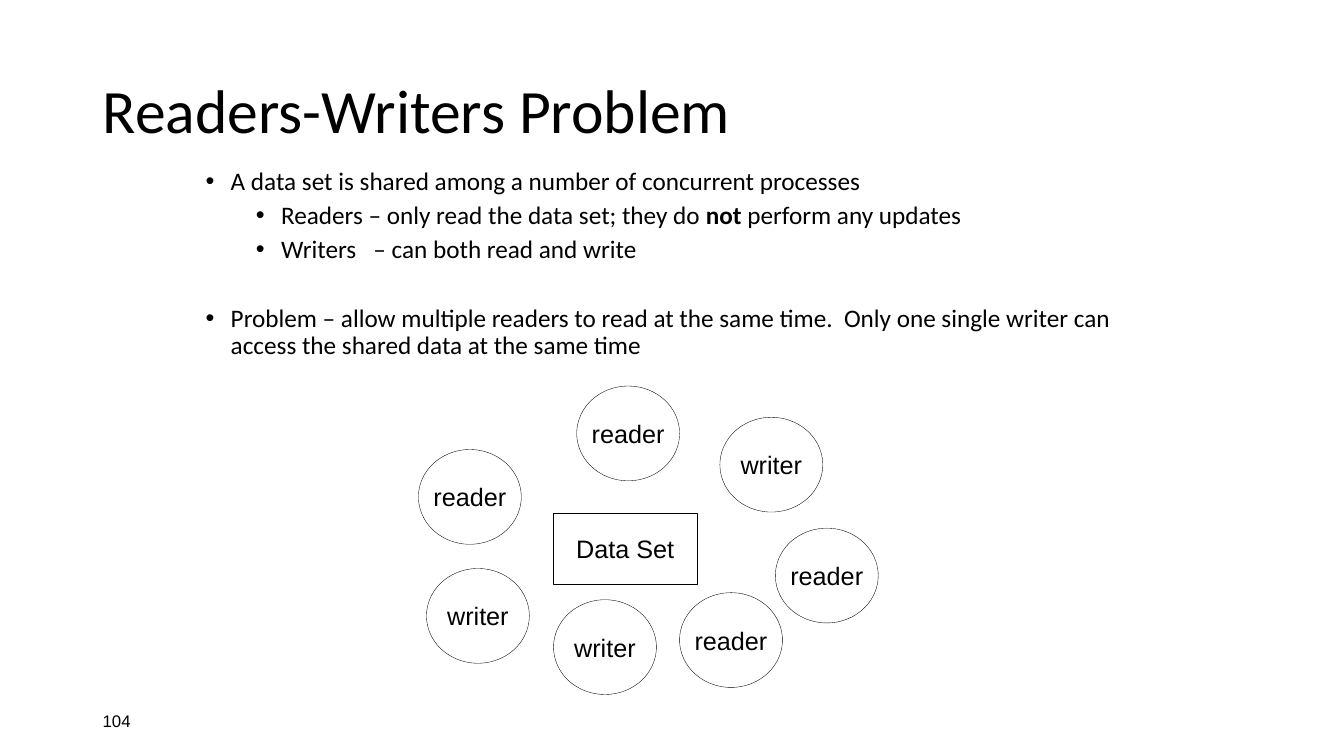
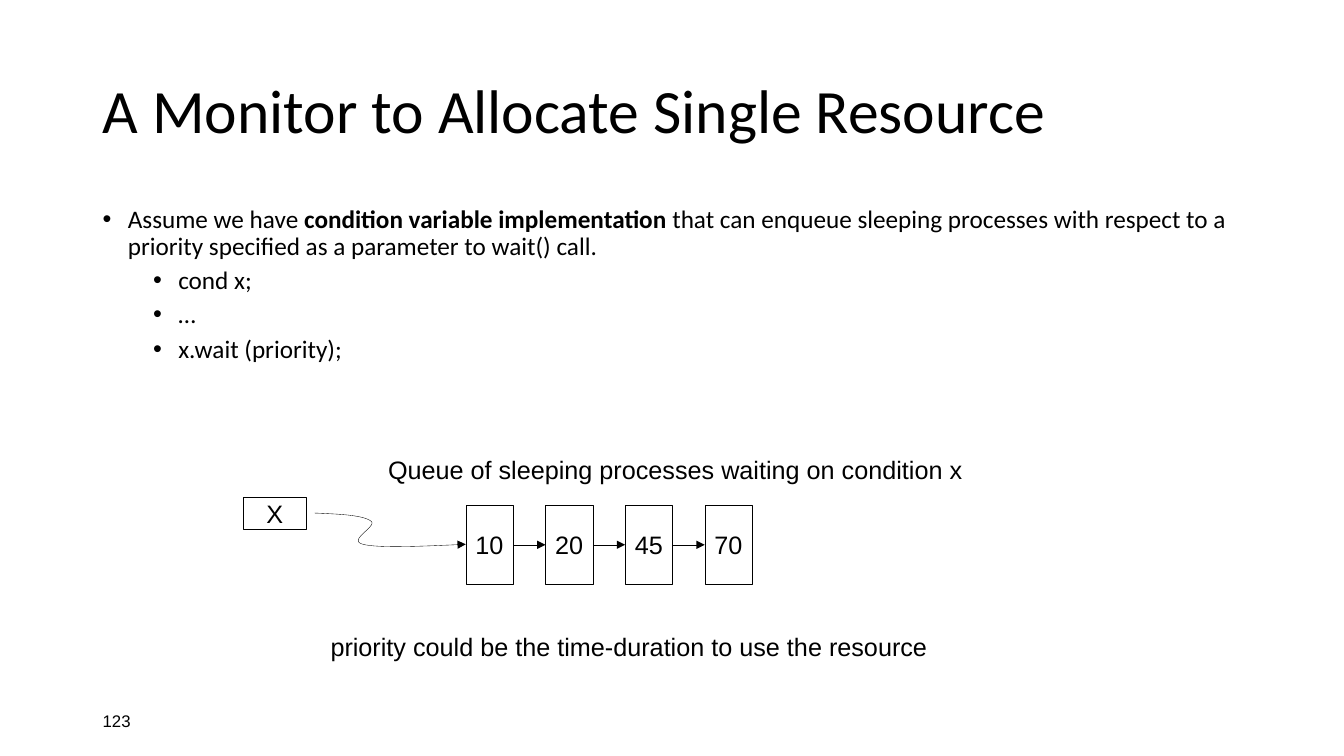
"""Build two slides on process synchronisation."""
from dataclasses import dataclass

from lxml import etree
from pptx import Presentation
from pptx import util as u
from pptx.dml import color
from pptx.enum import shapes, text
from pptx.oxml import ns


@dataclass(frozen=True)
class Theme:
    """Colours, fonts and type sizes of the deck."""
    ink: color.RGBColor = color.RGBColor(0, 0, 0)
    paper: color.RGBColor = color.RGBColor(255, 255, 255)
    prose: str = "Calibri"
    label: str = "Arial"
    title_size: u.Pt = u.Pt(44)
    text_size: u.Pt = u.Pt(18)
    number_size: u.Pt = u.Pt(12)
    stroke: u.Pt = u.Pt(0.25)
    leading: float = 0.9


THEME = Theme()
MARGIN, FULL_WIDTH = 0.92, 11.5
PLAIN, BOLD, WIDE = {}, {"bold": True}, {"spacing": 810}


def apply(target, formats):
    """Set each attribute named in a dict of format values."""
    for name, value in formats.items():
        setattr(target, name, value)


def add_element(parent, tag, **attributes):
    """Append a DrawingML element."""
    return etree.SubElement(parent, ns.qn(tag), **attributes)


def write_span(para, wording, font, size, style=PLAIN):
    """Add one formatted run to a paragraph."""
    span = para.add_run()
    span.text = wording
    formats = {"name": font, "size": size, "bold": style.get("bold", False)}
    apply(span.font, formats)
    span.font.color.rgb = THEME.ink
    if "spacing" in style:
        span.font._element.set("spc", str(style["spacing"]))


def add_text(page, place, wording, font, size, wrap=True,
             anchor=text.MSO_ANCHOR.MIDDLE, leading=None):
    """Add a text box holding one paragraph."""
    box = page.shapes.add_textbox(*map(u.Inches, place))
    apply(box.text_frame, {"word_wrap": wrap, "vertical_anchor": anchor})
    para = box.text_frame.paragraphs[0]
    para.line_spacing = leading
    write_span(para, wording, font, size)


def add_caption(page, place, wording):
    """Add a one-line diagram caption."""
    add_text(page, place, wording, THEME.label, THEME.text_size,
             wrap=False, anchor=text.MSO_ANCHOR.TOP)


def add_bullets(page, place, items):
    """Add bullets given as level, space before and spans."""
    box = page.shapes.add_textbox(*map(u.Inches, place))
    frame = box.text_frame
    frame.word_wrap = True
    for index, (level, before, spans) in enumerate(items):
        para = frame.add_paragraph() if index else frame.paragraphs[0]
        apply(para, {"level": level, "line_spacing": THEME.leading,
                     "space_before": u.Pt(before)})
        properties = para._p.get_or_add_pPr()
        properties.set("marL", str(u.Inches(0.25 + 0.5 * level)))
        properties.set("indent", str(u.Inches(-0.25)))
        add_element(properties, "a:buFont", typeface=THEME.label)
        add_element(properties, "a:buChar", char="•")
        for wording, style in spans:
            write_span(para, wording, THEME.prose, THEME.text_size, style)


def draw_stroke(line, arrow=False):
    """Give a line the thin stroke and, if asked, an arrowhead."""
    line.color.rgb = THEME.ink
    line.width = THEME.stroke
    if arrow:
        add_element(line._get_or_add_ln(), "a:tailEnd", type="triangle")


def add_node(page, kind, place, wording):
    """Add an outlined shape with a centred label."""
    node = page.shapes.add_shape(kind, *map(u.Inches, place))
    node.shadow.inherit = False
    node.fill.background()
    draw_stroke(node.line)
    apply(node.text_frame, {"word_wrap": False,
                            "vertical_anchor": text.MSO_ANCHOR.MIDDLE})
    para = node.text_frame.paragraphs[0]
    para.alignment = text.PP_ALIGN.CENTER
    write_span(para, wording, THEME.label, THEME.text_size)
    return node


def add_arrow(page, source, target):
    """Connect the right side of one node to the left side of the next."""
    arrow = page.shapes.add_connector(shapes.MSO_CONNECTOR.STRAIGHT, 0, 0, 0, 0)
    arrow.begin_connect(source, 3)
    arrow.end_connect(target, 1)
    draw_stroke(arrow.line, arrow=True)
    add_element(arrow._element.spPr, "a:effectLst")


def bezier_point(t, points):
    """Return the point at t on a cubic curve."""
    weights = ((1 - t) ** 3, 3 * t * (1 - t) ** 2, 3 * t ** 2 * (1 - t), t ** 3)
    return tuple(u.Inches(sum(w * v for w, v in zip(weights, axis)))
                 for axis in zip(*points))


def add_curved_arrow(page, points, steps=16):
    """Draw an arrow along joined cubic curves."""
    builder = page.shapes.build_freeform(*map(u.Inches, points[0]))
    builder.add_line_segments(
        [bezier_point(step / steps, points[start:start + 4])
         for start in range(0, len(points) - 1, 3)
         for step in range(1, steps + 1)], close=False)
    curve = builder.convert_to_shape()
    curve.shadow.inherit = False
    curve.fill.background()
    draw_stroke(curve.line, arrow=True)


def add_page(deck, title, number):
    """Add a blank slide with its title and slide number."""
    page = deck.slides.add_slide(deck.slide_layouts[6])
    page.background.fill.solid()
    page.background.fill.fore_color.rgb = THEME.paper
    add_text(page, (MARGIN, 0.4, FULL_WIDTH, 1.45), title, THEME.prose,
             THEME.title_size, leading=THEME.leading)
    add_text(page, (MARGIN, 6.95, 3, 0.4), number, THEME.label,
             THEME.number_size)
    return page


def build_readers_writers(deck):
    """Build the slide on the readers-writers problem."""
    page = add_page(deck, "Readers-Writers Problem", "104")
    add_bullets(page, (1.94, 1.62, 9.29, 2.2), [
        (0, 0, [("A data set is shared among a number of concurrent processes",
                 PLAIN)]),
        (1, 5, [("Readers – only read the data set; they do ", PLAIN),
                ("not ", BOLD), ("perform any updates", PLAIN)]),
        (1, 5, [("Writers", PLAIN), (" ", WIDE),
                ("– can both read and write", PLAIN)]),
        (0, 30, [("Problem – allow multiple readers to read at the same time.  "
                  "Only one single writer can access the shared data at the "
                  "same time", PLAIN)]),
    ])
    add_node(page, shapes.MSO_SHAPE.RECTANGLE, (5.49, 5.09, 1.42, 0.71),
             "Data Set")
    processes = {
        "reader": [(4.15, 4.46), (6.74, 5.88), (7.69, 5.24), (5.72, 3.83)],
        "writer": [(4.23, 5.64), (5.49, 5.95), (7.14, 4.14)],
    }
    for role, corners in processes.items():
        for corner in corners:
            add_node(page, shapes.MSO_SHAPE.OVAL, (*corner, 1.02, 0.94), role)


def build_monitor(deck):
    """Build the slide on the single-resource monitor."""
    page = add_page(deck, "A Monitor to Allocate Single Resource", "123")
    code = ("cond x;", "…", "x.wait (priority);")
    add_bullets(page, (MARGIN, 2, FULL_WIDTH, 4.76), [
        (0, 0, [("Assume we have ", PLAIN),
                ("condition variable implementation", BOLD),
                (" that can enqueue sleeping processes with respect to a "
                 "priority specified as a parameter to wait() call.", PLAIN)]),
        *((1, 5, [(statement, PLAIN)]) for statement in code),
    ])
    rectangle = shapes.MSO_SHAPE.RECTANGLE
    queue = [add_node(page, rectangle, (4.62 + 0.79 * index, 5.01, 0.47, 0.79),
                      priority)
             for index, priority in enumerate(("10", "20", "45", "70"))]
    for source, target in zip(queue, queue[1:]):
        add_arrow(page, source, target)
    add_node(page, rectangle, (2.41, 4.93, 0.63, 0.32), "X")
    add_curved_arrow(page, [
        (3.12, 5.09), (3.36, 5.1), (3.6, 5.11), (3.68, 5.17), (3.75, 5.22),
        (3.44, 5.36), (3.6, 5.4), (3.75, 5.44), (4.19, 5.42), (4.62, 5.4)])
    add_caption(page, (3.75, 4.46, 5.95, 0.41),
                "Queue of sleeping processes waiting on condition x")
    add_caption(page, (3.18, 6.21, 6.17, 0.41),
                "priority could be the time-duration to use the resource")


def main():
    """Build and save the deck."""
    deck = Presentation()
    apply(deck, {"slide_width": u.Inches(13.33), "slide_height": u.Inches(7.5)})
    build_readers_writers(deck)
    build_monitor(deck)
    deck.save("out.pptx")


if __name__ == "__main__":
    main()
